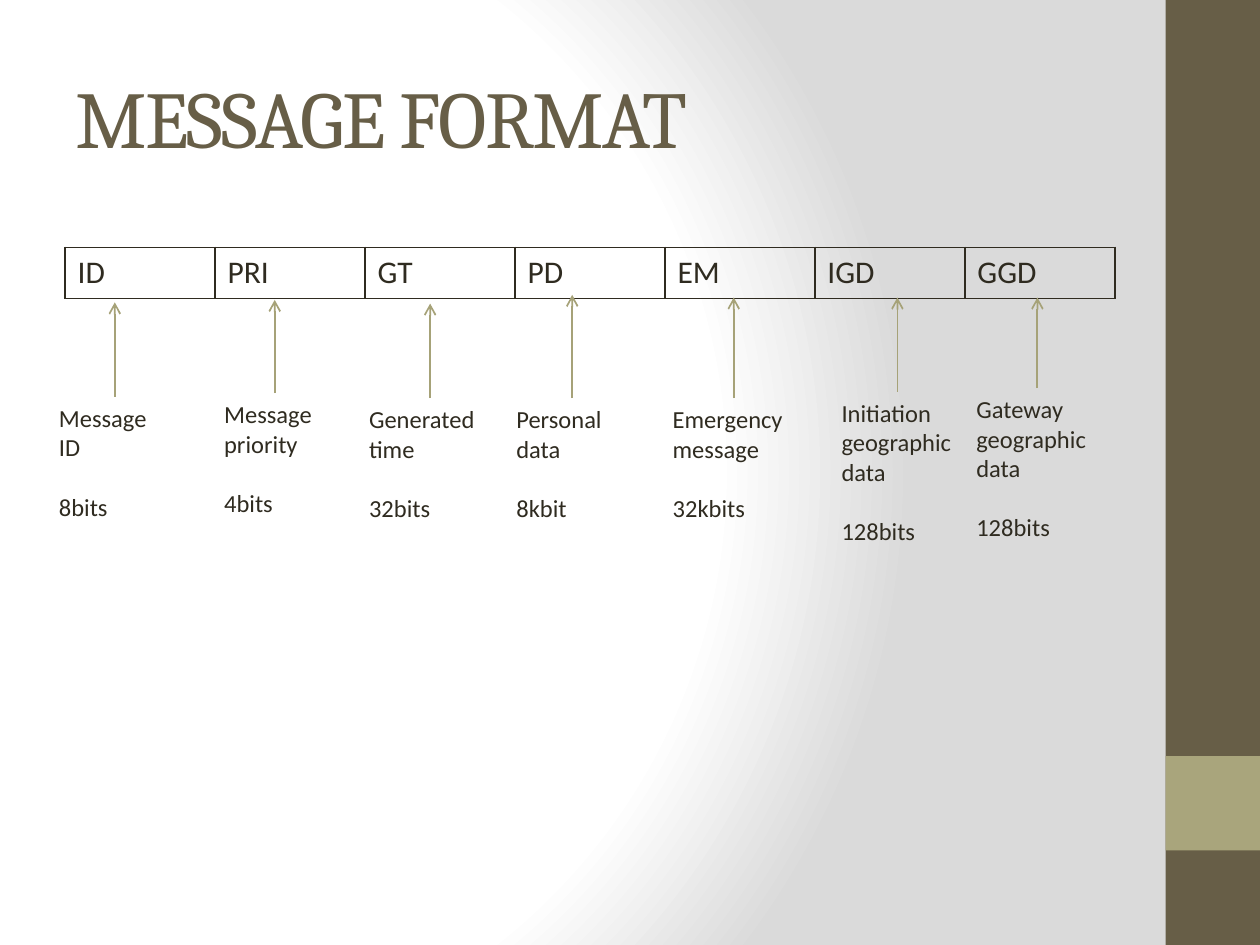
"""Build the message format slide: a row of fields with arrows and notes."""
from pptx import Presentation, oxml
from pptx.dml.color import RGBColor
from pptx.enum import shapes, text
from pptx.oxml import ns
from pptx.util import Pt

HUES = {"white": "FFFFFF", "grey": "DADADA", "brown": "675E47",
        "olive": "A9A57C", "arrow": "A6A278", "ink": "2F2B20"}

FIELDS = [
    ("ID", "Message ID", "8bits", 26.6, 226.8, 78, 172.8),
    ("PRI", "Message priority", "4bits", 121, 224.6, 72, 171.4),
    ("GT", "Generated time", "32bits", 203.8, 227.5, 84, 173.5),
    ("PD", "Personal data", "8kbit", 288, 227.5, 78, 168.5),
    ("EM", "Emergency message", "32kbits", 377.3, 227.5, 84, 170),
    ("IGD", "Initiation geographic data", "128bits", 473.8, 223.9, 78, 170),
    ("GGD", "Gateway geographic data", "128bits", 550.8, 221.8, 84, 170),
]


def hue(name):
    """Return the named colour."""
    return RGBColor.from_string(HUES[name])


def style(para, size, face="Calibri", tint="ink"):
    """Format every run of a paragraph."""
    for run in para.runs:
        run.font.size, run.font.name = Pt(size), face
        run.font.color.rgb = hue(tint)


def add_back(slide):
    """Fill the background with a round gradient."""
    stops = "".join(
        f'<a:gs pos="{pos}000"><a:srgbClr val="{HUES[name]}"/></a:gs>'
        for pos, name in ((0, "white"), (75, "white"), (100, "grey")))
    back = oxml.parse_xml(
        f'<p:bg {ns.nsdecls("p", "a")}><p:bgPr><a:gradFill rotWithShape="1">'
        f'<a:gsLst>{stops}</a:gsLst><a:path path="circle"><a:fillToRect '
        'l="20000" t="50000" r="100000" b="50000"/></a:path></a:gradFill>'
        '<a:effectLst/></p:bgPr></p:bg>')
    slide.element.cSld.insert(0, back)


def add_bar(slide, top, high, tint):
    """Add a plain block of the right-hand band."""
    bar = slide.shapes.add_shape(shapes.MSO_SHAPE.RECTANGLE, Pt(666), Pt(top),
                                 Pt(54), Pt(high))
    bar.shadow.inherit = False
    bar.fill.solid()
    bar.fill.fore_color.rgb = hue(tint)
    bar.line.fill.background()


def set_title(slide, words):
    """Place and format the title."""
    title = slide.shapes.title
    title.left, title.top, title.width, title.height = (
        Pt(36), Pt(21.6), Pt(600), Pt(90))
    frame = title.text_frame
    frame.text = words
    frame.auto_size = text.MSO_AUTO_SIZE.NONE
    frame.vertical_anchor = text.MSO_ANCHOR.MIDDLE
    para = frame.paragraphs[0]
    para.alignment = text.PP_ALIGN.LEFT
    style(para, 46, "Cambria", "brown")
    para.runs[0].font._element.set("spc", "-100")


def add_edges(cell):
    """Draw a thin line on each side of a cell."""
    props = cell._tc.get_or_add_tcPr()
    for spot, side in enumerate("LRTB"):
        props.insert(spot, oxml.parse_xml(
            f'<a:ln{side} {ns.nsdecls("a")} w="12700"><a:solidFill>'
            f'<a:srgbClr val="{HUES["ink"]}"/></a:solidFill></a:ln{side}>'))


def add_row(slide, names):
    """Add the one-row table of field names."""
    table = slide.shapes.add_table(1, len(names), Pt(37.2), Pt(141.3),
                                   Pt(600), Pt(29.2)).table
    table.first_row = table.horz_banding = False
    for cell, name in zip(table.rows[0].cells, names):
        cell.text = name
        cell.fill.background()
        style(cell.text_frame.paragraphs[0], 18)
        add_edges(cell)


def add_note(slide, words, size, left, top, wide):
    """Add a field's meaning with its size one line below."""
    box = slide.shapes.add_textbox(Pt(left), Pt(top), Pt(wide), Pt(75))
    frame = box.text_frame
    frame.word_wrap = True
    frame.auto_size = text.MSO_AUTO_SIZE.SHAPE_TO_FIT_TEXT
    frame.text = f"{words}\n{size}"
    frame.paragraphs[1].space_before = Pt(17)
    for para in frame.paragraphs:
        style(para, 14)


def add_arrow(slide, mid, low, tip):
    """Add an upward arrow."""
    line = slide.shapes.add_connector(shapes.MSO_CONNECTOR.STRAIGHT, Pt(mid),
                                      Pt(low), Pt(mid), Pt(tip))
    line.line.width = Pt(1)
    line.line.color.rgb = hue("arrow")
    head = oxml.parse_xml(f'<a:tailEnd {ns.nsdecls("a")} type="arrow"/>')
    line.line._get_or_add_ln().append(head)
    line._element.spPr.append(
        oxml.parse_xml(f'<a:effectLst {ns.nsdecls("a")}/>'))


def main():
    """Build and save the slide."""
    deck = Presentation()
    deck.slide_width, deck.slide_height = Pt(720), Pt(540)
    slide = deck.slides.add_slide(deck.slide_layouts[5])
    add_back(slide)
    add_bar(slide, 0, 540, "brown")
    add_bar(slide, 432, 54, "olive")
    set_title(slide, "MESSAGE FORMAT")
    add_row(slide, [field[0] for field in FIELDS])
    for _, words, size, left, top, wide, tip in FIELDS:
        add_note(slide, words, size, left, top, wide)
        add_arrow(slide, left + wide / 2, top, tip)
    deck.save("out.pptx")


if __name__ == "__main__":
    main()
